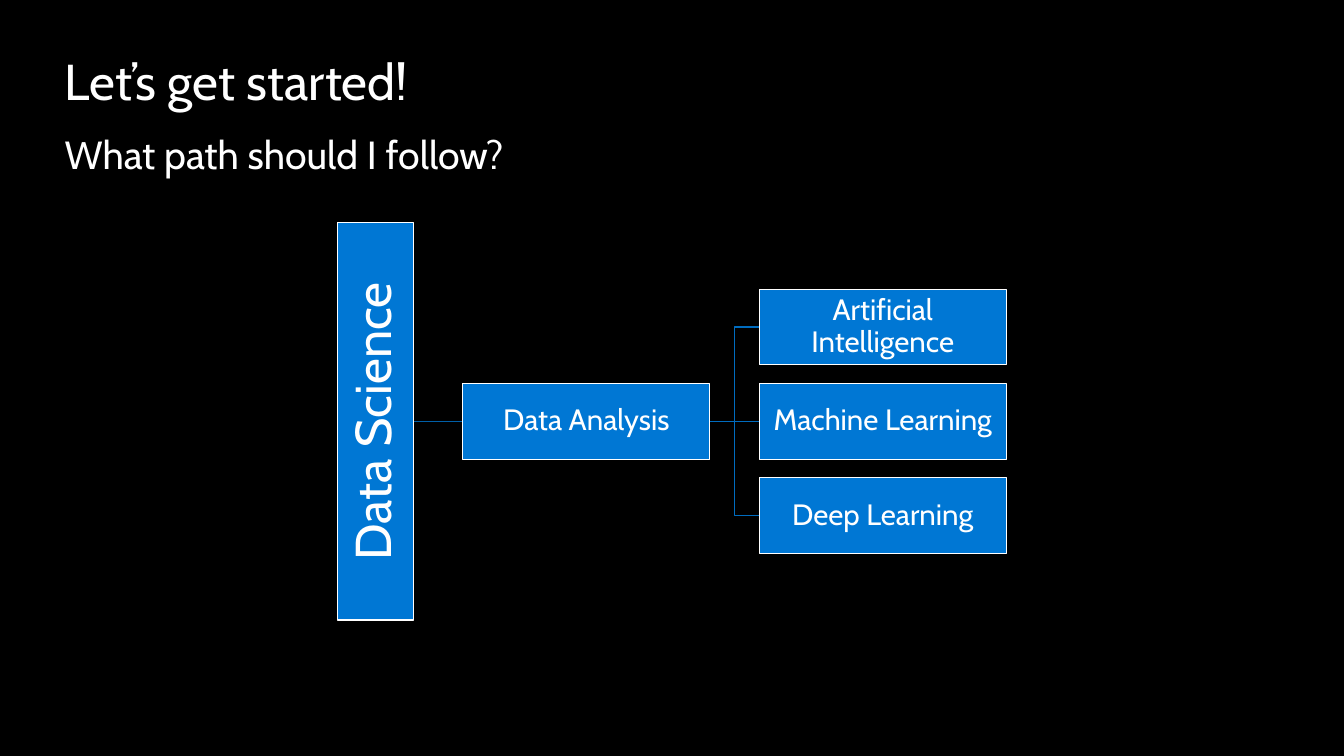
from pptx import Presentation
from pptx.dml.color import RGBColor
from pptx.enum.shapes import MSO_CONNECTOR, MSO_SHAPE
from pptx.enum.text import MSO_ANCHOR, MSO_AUTO_SIZE, PP_ALIGN
from pptx.oxml.ns import qn
from pptx.util import Inches, Pt

BLACK = RGBColor(0x00, 0x00, 0x00)
WHITE = RGBColor(0xFF, 0xFF, 0xFF)
BLUE = RGBColor(0x00, 0x77, 0xD4)
TRUNK = RGBColor(0x00, 0x5F, 0xA8)
BRANCH = RGBColor(0x00, 0x6C, 0xBF)
LINE = Pt(0.85)

# Tree grid: box size, gap between columns, row pitch, middle row
WIDE, HIGH = Inches(2.45), Inches(0.75)
GAP = Inches(0.49)
PITCH = Inches(0.935)
MID = Inches(4.18)
TALL = Inches(3.94)
ROOT = Inches(3.35)
STEM = ROOT + HIGH + GAP
LEAF = STEM + WIDE + GAP


def write(shape, text, size, align=PP_ALIGN.LEFT, anchor=MSO_ANCHOR.TOP,
          inset=0, space=1.0):
    frame = shape.text_frame
    frame.word_wrap = True
    frame.auto_size = MSO_AUTO_SIZE.NONE
    frame.vertical_anchor = anchor
    frame.margin_left = frame.margin_right = Inches(inset)
    frame.margin_top = frame.margin_bottom = Inches(inset)
    para = frame.paragraphs[0]
    para.alignment = align
    para.line_spacing = space
    para.space_before = Pt(0)
    run = para.add_run()
    run.text = text
    run.font.name = "Cabin"
    run.font.size = Pt(size)
    run.font.color.rgb = WHITE
    return para


deck = Presentation()
deck.slide_width, deck.slide_height = Inches(13.33), Inches(7.5)
slide = deck.slides.add_slide(deck.slide_layouts[1])
slide.background.fill.solid()
slide.background.fill.fore_color.rgb = BLACK

# Headings
title, body = slide.placeholders
for holder, top, height, text, size in [
    (title, 0.5, 0.61, "Let’s get started!", 36),
    (body, 1.29, 0.47, "What path should I follow?", 28),
]:
    holder.left, holder.top = Inches(0.64), Inches(top)
    holder.width, holder.height = Inches(12.05), Inches(height)
    para = write(holder, text, size)
    props = para._p.get_or_add_pPr()
    props.set("marL", "0")
    props.set("indent", "0")
    props.append(props.makeelement(qn("a:buNone"), {}))

# Links from parent to child, given as start, end, row of the child
for start, end, row, color in [
    (LEAF - GAP, LEAF, 1, BRANCH),
    (LEAF - GAP, LEAF, 0, BRANCH),
    (LEAF - GAP, LEAF, -1, BRANCH),
    (STEM - GAP, STEM, 0, TRUNK),
]:
    kind = MSO_CONNECTOR.ELBOW if row else MSO_CONNECTOR.STRAIGHT
    link = slide.shapes.add_connector(kind, start, MID, end, MID + int(row * PITCH))
    link.line.color.rgb = color
    link.line.width = LINE
    props = link._element.spPr
    props.append(props.makeelement(qn("a:effectLst"), {}))

# Boxes, given by centre; the root is turned to read upwards
for text, center, row, width, turn, size, inset in [
    ("Data Science", ROOT + HIGH // 2, 0, TALL, 270, 36, 0.03),
    ("Data Analysis", STEM + WIDE // 2, 0, WIDE, 0, 21, 0.01),
    ("Artificial Intelligence", LEAF + WIDE // 2, -1, WIDE, 0, 21, 0.01),
    ("Machine Learning", LEAF + WIDE // 2, 0, WIDE, 0, 21, 0.01),
    ("Deep Learning", LEAF + WIDE // 2, 1, WIDE, 0, 21, 0.01),
]:
    box = slide.shapes.add_shape(
        MSO_SHAPE.RECTANGLE, center - width // 2,
        MID + int(row * PITCH) - HIGH // 2, width, HIGH)
    box.rotation = turn
    box.shadow.inherit = False
    box.fill.solid()
    box.fill.fore_color.rgb = BLUE
    box.line.color.rgb = WHITE
    box.line.width = LINE
    write(box, text, size, align=PP_ALIGN.CENTER, anchor=MSO_ANCHOR.MIDDLE,
          inset=inset, space=0.9)

deck.save("out.pptx")
